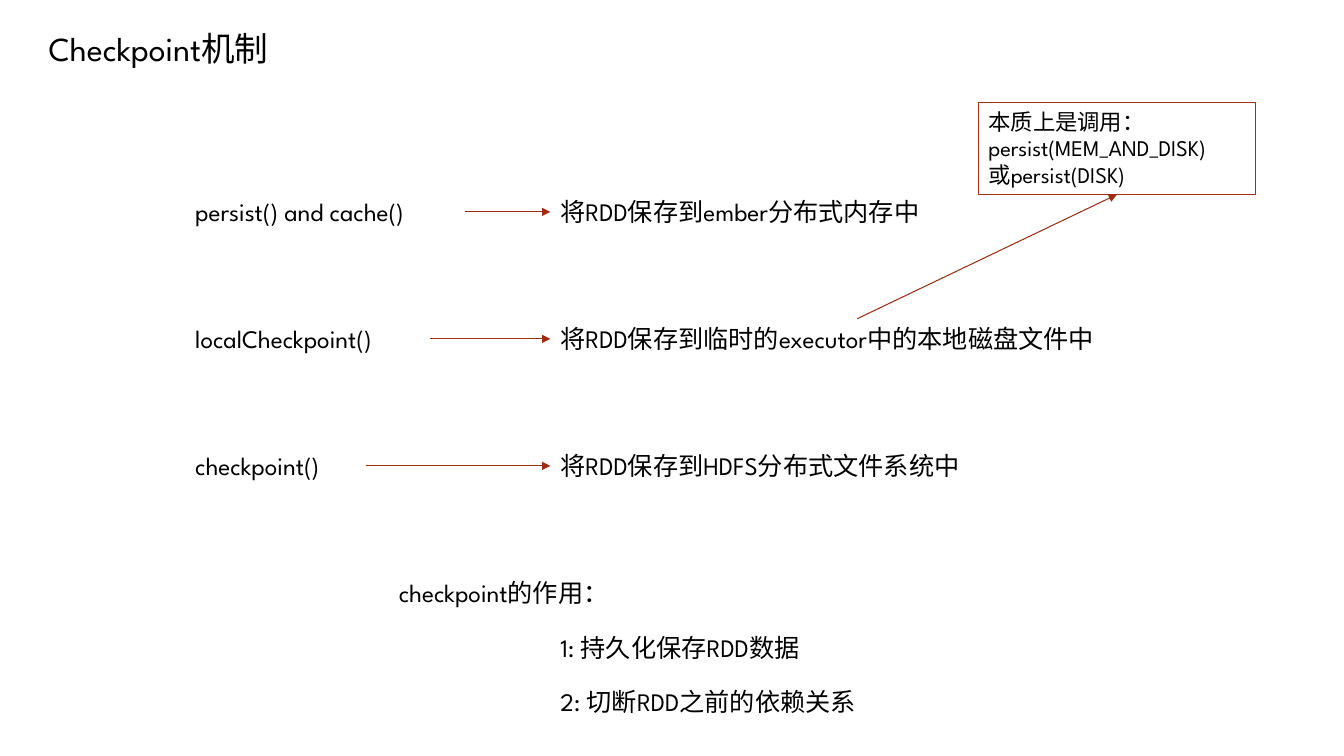
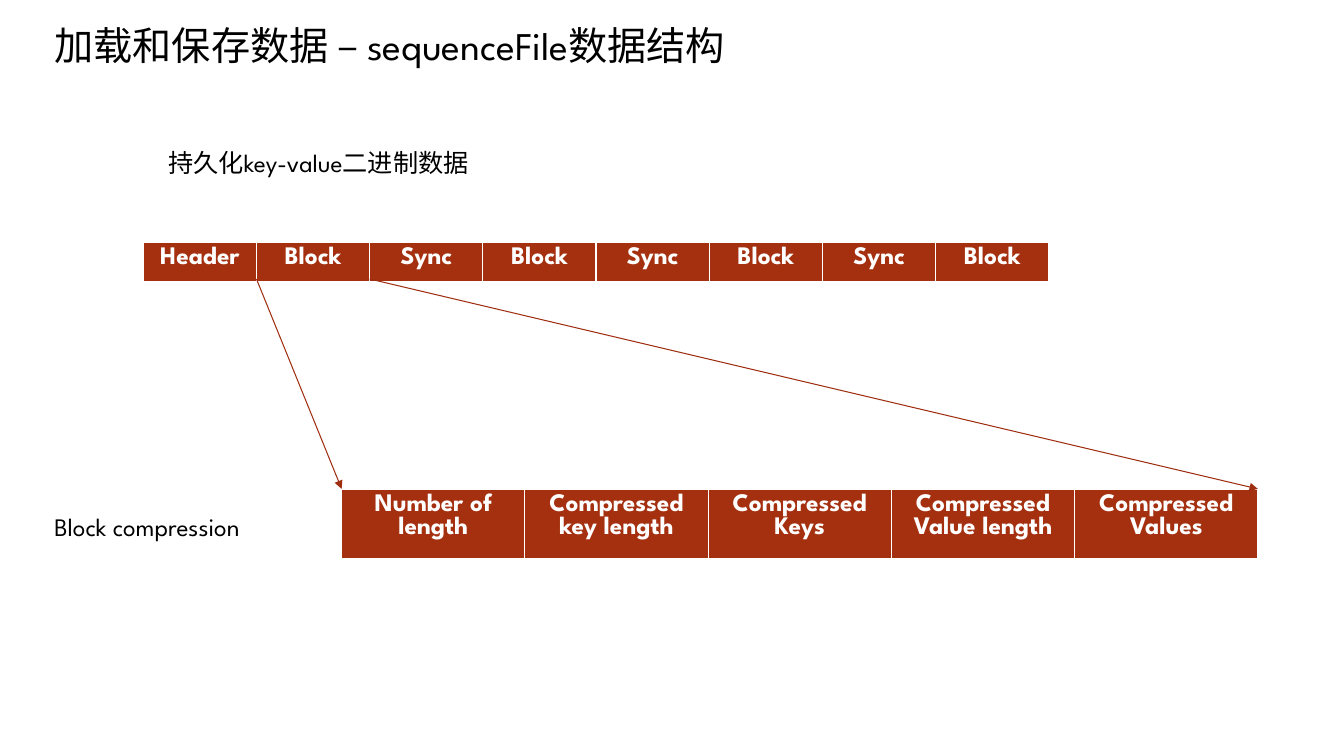
"""Build two slides on checkpointing and the sequenceFile layout."""
import dataclasses

import lxml.etree
import pptx
import pptx.dml.color
import pptx.enum.shapes
import pptx.enum.text
import pptx.oxml.ns
import pptx.util

Cm = pptx.util.Cm
Pt = pptx.util.Pt
RGBColor = pptx.dml.color.RGBColor
Align = pptx.enum.text.PP_ALIGN
qn = pptx.oxml.ns.qn
TOP, LEFT, BOTTOM, RIGHT = range(4)


@dataclasses.dataclass(frozen=True)
class Theme:
    font: str = "League Spartan"
    ink: str = "000000"
    paper: str = "FFFFFF"
    accent: str = "A53010"
    arrow: str = "9E2E0F"
    body: int = 18
    note: int = 16
    line: float = 0.75
    cell_border: float = 1
    header_border: float = 3
    text_height: float = 1.02


THEME = Theme()


def write_text(frame, text, size=THEME.body, color=THEME.ink, bold=False, align=Align.LEFT):
    for index, line in enumerate(text.split("\n")):
        paragraph = frame.paragraphs[0] if index == 0 else frame.add_paragraph()
        paragraph.alignment = align
        run = paragraph.add_run()
        run.text = line
        run.font.name = THEME.font
        run.font.size = Pt(size)
        run.font.bold = bold
        run.font.color.rgb = RGBColor.from_string(color)


class Deck:
    def __init__(self):
        self.presentation = pptx.Presentation()
        self.presentation.slide_width = Cm(33.87)
        self.presentation.slide_height = Cm(19.05)
        self.slide = None

    def add_slide(self, title, left, top, width, height, size):
        self.slide = self.presentation.slides.add_slide(self.presentation.slide_layouts[5])
        shape = self.slide.shapes.title
        shape.left, shape.top, shape.width, shape.height = map(Cm, (left, top, width, height))
        self.fill_frame(shape, title, size=size)

    def fill_frame(self, shape, text, **style):
        frame = shape.text_frame
        frame.word_wrap = True
        frame.auto_size = pptx.enum.text.MSO_AUTO_SIZE.NONE
        frame.vertical_anchor = pptx.enum.text.MSO_ANCHOR.TOP
        write_text(frame, text, **style)

    def text(self, text, left, top, width):
        shape = self.slide.shapes.add_textbox(Cm(left), Cm(top), Cm(width), Cm(THEME.text_height))
        self.fill_frame(shape, text)
        return shape

    def callout(self, text, left, top, width, height):
        shape = self.slide.shapes.add_shape(
            pptx.enum.shapes.MSO_SHAPE.RECTANGLE, Cm(left), Cm(top), Cm(width), Cm(height))
        shape.shadow.inherit = False
        shape.fill.background()
        shape.line.color.rgb = RGBColor.from_string(THEME.accent)
        shape.line.width = Pt(THEME.line)
        self.fill_frame(shape, text, size=THEME.note)
        return shape

    def arrow(self, start=(0, 0), end=(0, 0)):
        connector = self.slide.shapes.add_connector(
            pptx.enum.shapes.MSO_CONNECTOR.STRAIGHT, *start, *end)
        connector.line.width = Pt(THEME.line)
        connector.line.color.rgb = RGBColor.from_string(THEME.arrow)
        properties = connector.element.spPr
        lxml.etree.SubElement(properties.find(qn("a:ln")), qn("a:tailEnd"), type="triangle")
        lxml.etree.SubElement(properties, qn("a:effectLst"))
        return connector

    def join(self, start, start_side, end, end_side):
        connector = self.arrow()
        connector.begin_connect(start, start_side)
        connector.end_connect(end, end_side)

    def table(self, labels, left, top, width, height):
        shape = self.slide.shapes.add_table(
            1, len(labels), Cm(left), Cm(top), Cm(width), Cm(height))
        shape.table.horz_banding = False
        for cell, label in zip(shape.table.iter_cells(), labels):
            self.draw_borders(cell)
            cell.fill.solid()
            cell.fill.fore_color.rgb = RGBColor.from_string(THEME.accent)
            write_text(cell.text_frame, label, color=THEME.paper, bold=True, align=Align.CENTER)
        return shape

    def draw_borders(self, cell):
        properties = cell._tc.get_or_add_tcPr()
        for side in "LRTB":
            width = THEME.header_border if side == "B" else THEME.cell_border
            border = lxml.etree.SubElement(properties, qn(f"a:ln{side}"), w=str(Pt(width)))
            fill = lxml.etree.SubElement(border, qn("a:solidFill"))
            lxml.etree.SubElement(fill, qn("a:srgbClr"), val=THEME.paper)


def checkpoint_slide(deck):
    deck.add_slide("Checkpoint机制", 0.97, 0.58, 7.09, 1.27, 24)
    result_left = 13.87
    methods = (
        ("persist() and cache()", 7.06, "将RDD保存到ember分布式内存中", 9.91),
        ("localCheckpoint()", 6.17, "将RDD保存到临时的executor中的本地磁盘文件中", 15.47),
        ("checkpoint()", 4.55, "将RDD保存到HDFS分布式文件系统中", 11.1),
    )
    results = []
    for row, (name, name_width, result, result_width) in enumerate(methods):
        top = 4.83 + 3.2 * row
        name_box = deck.text(name, 4.67, top, name_width)
        result_box = deck.text(result, result_left, top, result_width)
        deck.join(name_box, RIGHT, result_box, LEFT)
        results.append(result_box)

    callout = deck.callout(
        "本质上是调用：\npersist(MEM_AND_DISK)\n或persist(DISK)", 24.66, 2.59, 6.98, 2.31)
    deck.join(results[1], TOP, callout, BOTTOM)

    deck.text("checkpoint的作用：", 9.8, 14.43, 6.63)
    purposes = (("1: 持久化保存RDD数据", 7.06), ("2: 切断RDD之前的依赖关系", 8.33))
    for row, (purpose, width) in enumerate(purposes):
        deck.text(purpose, result_left, 15.8 + 1.37 * row, width)


def sequence_file_slide(deck):
    deck.add_slide("加载和保存数据 – sequenceFile数据结构", 1.12, 0.41, 18.95, 1.45, 28)
    deck.text("持久化key-value二进制数据", 3.99, 3.58, 8.66)
    file_parts = deck.table(["Header", "Block"] + ["Sync", "Block"] * 3, 3.61, 6.1, 22.83, 1.04)
    block_parts = deck.table(
        ("Number of length", "Compressed key length", "Compressed Keys",
         "Compressed\nValue length", "Compressed\nValues"),
        8.61, 12.32, 23.09, 1.78)

    block_left = file_parts.left + file_parts.table.columns[0].width
    block_right = block_left + file_parts.table.columns[1].width
    block_bottom = Cm(7.03)
    deck.arrow((block_right, block_bottom),
               (block_parts.left + block_parts.width, block_parts.top))
    deck.arrow((block_left, block_bottom), (block_parts.left, block_parts.top))
    deck.text("Block compression", 1.12, 12.75, 6.32)


def main():
    deck = Deck()
    checkpoint_slide(deck)
    sequence_file_slide(deck)
    deck.presentation.save("out.pptx")


if __name__ == "__main__":
    main()
